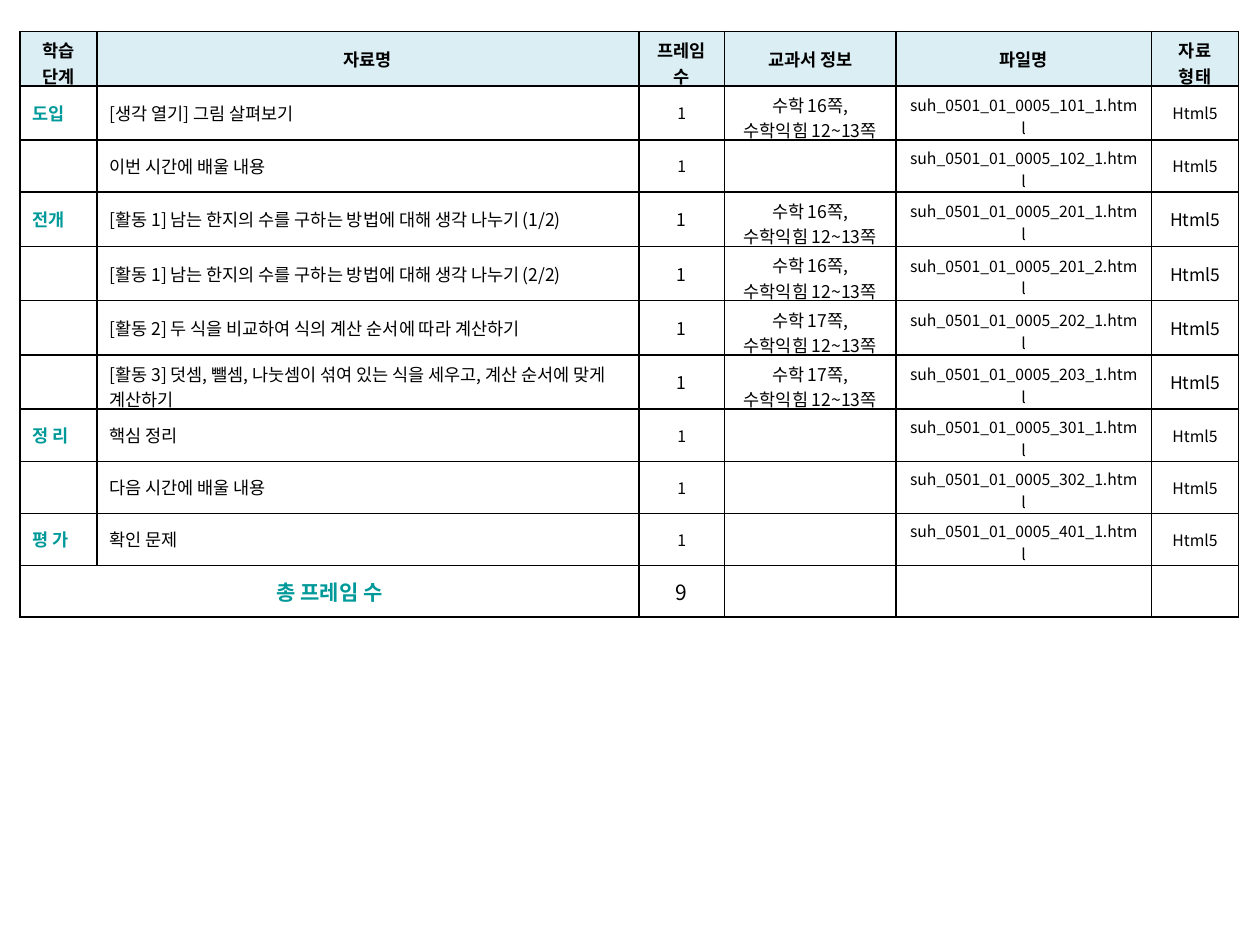
from lxml.etree import SubElement
from pptx import Presentation
from pptx.dml.color import RGBColor
from pptx.enum.text import MSO_ANCHOR, PP_ALIGN
from pptx.oxml.ns import qn
from pptx.util import Inches, Pt

FONT = "Noto Sans CJK KR"
BLACK = RGBColor(0, 0, 0)
TEAL = RGBColor(0x00, 0x99, 0x99)
PALE_BLUE = RGBColor(0xDB, 0xEE, 0xF4)

COLUMN_WIDTHS = [0.61, 4.3, 0.68, 1.36, 2.03, 0.69]
TALL_ROW, SHORT_ROW = 0.43, 0.41
# bottom margins that let two lines fit a row of fixed height, by text size
TWO_LINE_MARGINS = {10: Inches(-0.02), 9: Inches(0)}
HEADERS = ["학습 단계", "자료명", "프레임 수", "교과서 정보", "파일명", "자료\n형태"]
WRAPPED_HEADERS = (0, 2, 5)

# stage, material, textbook page, file number, size of the count and of the format
LESSONS = [
    ("도입", "[생각 열기] 그림 살펴보기", 16, "101_1", 9),
    ("", "이번 시간에 배울 내용", None, "102_1", 9),
    ("전개", "[활동 1] 남는 한지의 수를 구하는 방법에 대해 생각 나누기 (1/2)", 16, "201_1", 10),
    ("", "[활동 1] 남는 한지의 수를 구하는 방법에 대해 생각 나누기 (2/2)", 16, "201_2", 10),
    ("", "[활동 2] 두 식을 비교하여 식의 계산 순서에 따라 계산하기", 17, "202_1", 10),
    ("", "[활동 3] 덧셈, 뺄셈, 나눗셈이 섞여 있는 식을 세우고, 계산 순서에 맞게 계산하기",
     17, "203_1", 10),
    ("정 리", "핵심 정리", None, "301_1", 9),
    ("", "다음 시간에 배울 내용", None, "302_1", 9),
    ("평 가", "확인 문제", None, "401_1", 9),
]


def write(cell, text, size=10, color=BLACK, bold=False, align=PP_ALIGN.CENTER,
          two_lines=False):
    """Put each line of the text in its own paragraph."""
    if two_lines:
        cell.margin_bottom = TWO_LINE_MARGINS[size]
    frame = cell.text_frame
    for index, line in enumerate(text.split("\n")):
        para = frame.paragraphs[0] if index == 0 else frame.add_paragraph()
        para.alignment = align
        if not line:
            SubElement(para._p, qn("a:endParaRPr"), sz=str(size * 100))
            continue
        span = para.add_run()
        span.text = line
        span.font.name = FONT
        span.font.size = Pt(size)
        span.font.bold = bold
        span.font.color.rgb = color
        span.font._element.set("kern", "0")
        SubElement(span.font._element, qn("a:ea"), typeface=FONT)


def style_cell(cell, fill=None):
    """Draw the four borders, then the fill."""
    cell.vertical_anchor = MSO_ANCHOR.MIDDLE
    properties = cell._tc.get_or_add_tcPr()
    for side in ("lnL", "lnR", "lnT", "lnB"):
        line = SubElement(properties, qn(f"a:{side}"), w=str(Pt(1)))
        solid = SubElement(line, qn("a:solidFill"))
        SubElement(solid, qn("a:srgbClr"), val=str(BLACK))
    if fill is None:
        cell.fill.background()
    else:
        cell.fill.solid()
        cell.fill.fore_color.rgb = fill


def fill_lesson_row(cells, stage, material, page_number, file_number, size):
    textbook = f"수학 {page_number}쪽,\n수학익힘 12~13쪽" if page_number else ""
    write(cells[0], stage, color=TEAL, bold=True, align=PP_ALIGN.JUSTIFY)
    write(cells[1], material, align=PP_ALIGN.LEFT, two_lines=len(material) > 42)
    write(cells[2], "1", size=size)
    write(cells[3], textbook, two_lines=bool(textbook))
    write(cells[4], f"suh_0501_01_0005_{file_number}.html", size=9, two_lines=True)
    write(cells[5], "Html5", size=size)


def fill_total_row(cells):
    cells[0].merge(cells[1])
    write(cells[0], "총 프레임 수", size=12, color=TEAL, bold=True)
    write(cells[2], str(len(LESSONS)), size=12)
    for cell in cells[3:]:
        write(cell, "")


def add_lesson_table(page, left, top):
    heights = [TALL_ROW]
    heights += [TALL_ROW if lesson[2] else SHORT_ROW for lesson in LESSONS]
    heights.append(SHORT_ROW)
    table = page.shapes.add_table(
        len(heights), len(COLUMN_WIDTHS), Inches(left), Inches(top),
        Inches(sum(COLUMN_WIDTHS)), Inches(sum(heights))).table
    table.first_row = table.horz_banding = False
    for column, width in zip(table.columns, COLUMN_WIDTHS):
        column.width = Inches(width)
    for index, (row, height) in enumerate(zip(table.rows, heights)):
        row.height = Inches(height)
        for cell in row.cells:
            style_cell(cell, PALE_BLUE if index == 0 else None)

    rows = [list(row.cells) for row in table.rows]
    for index, (cell, header) in enumerate(zip(rows[0], HEADERS)):
        write(cell, header, bold=True, two_lines=index in WRAPPED_HEADERS)
    for cells, lesson in zip(rows[1:], LESSONS):
        fill_lesson_row(cells, *lesson)
    fill_total_row(rows[-1])


def main():
    deck = Presentation()
    deck.slide_width, deck.slide_height = Inches(10), Inches(7.5)
    page = deck.slides.add_slide(deck.slide_layouts[6])
    add_lesson_table(page, left=0.16, top=0.25)
    deck.save("out.pptx")


if __name__ == "__main__":
    main()
